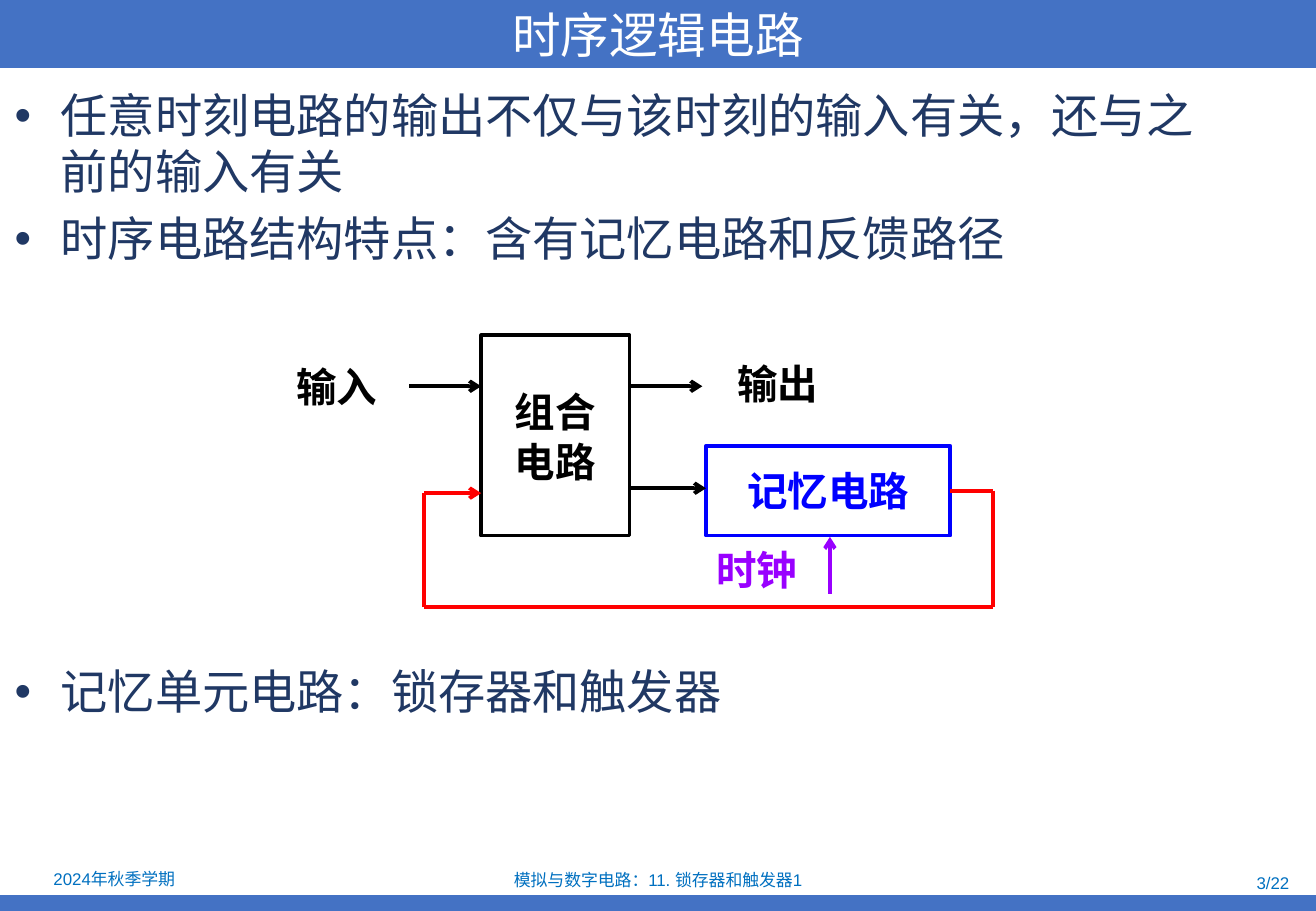
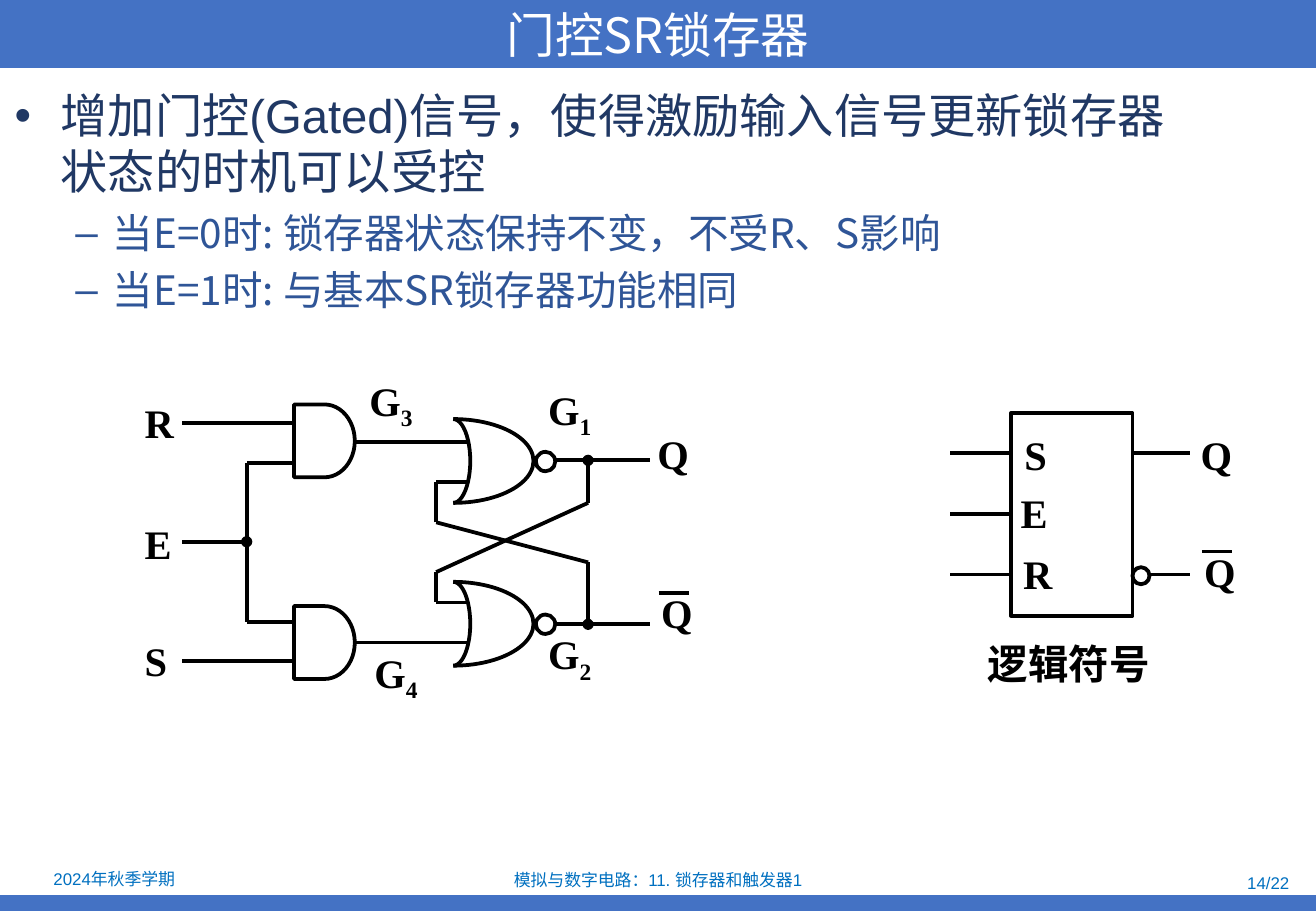
from itertools import pairwise

from lxml import etree
from pptx import Presentation
from pptx import util as u
from pptx.dml.color import RGBColor
from pptx.enum import shapes, text
from pptx.oxml.ns import qn

CELL = u.Inches(0.1)  # every position counts square grid cells
COLUMNS, ROWS = 108.3, 75
BLUE, FOOTER_BLUE = "4472C4", "0070C0"
NAVY, MID_BLUE = "203864", "2F5597"
BLACK, WHITE, RED, MEMORY_BLUE, PURPLE = "000000", "FFFFFF", "FF0000", "0000FF", "9900FF"
SANS, CJK, SERIF = "Arial", "Noto Sans CJK SC", "Times New Roman"
LEFT, CENTER, RIGHT = text.PP_ALIGN.LEFT, text.PP_ALIGN.CENTER, text.PP_ALIGN.RIGHT
KIND = shapes.MSO_SHAPE
hue = RGBColor.from_string


def put(page, kind, place, words="", size=24, color=BLACK, font=SERIF, bold=True,
        align=CENTER, fill=None, line=None):
    """Place a preset shape, or a text box when kind is None, on the cell grid."""
    place = [int(value * CELL) for value in place]
    if kind is None:
        box = page.shapes.add_textbox(*place)
    else:
        box = page.shapes.add_shape(kind, *place)
        box.shadow.inherit = False
        if fill:
            box.fill.solid()
            box.fill.fore_color.rgb = hue(fill)
        else:
            box.fill.background()
        if line:
            box.line.color.rgb = hue(line)
            box.line.width = u.Pt(2.25)
        else:
            box.line.fill.background()
    frame = box.text_frame
    frame.margin_left = frame.margin_right = frame.margin_top = frame.margin_bottom = 0
    frame.word_wrap = True
    frame.vertical_anchor = text.MSO_ANCHOR.MIDDLE
    if words:
        frame.text = words
    for para in frame.paragraphs:
        para.alignment = align
        for span in para.runs:
            span.font.size, span.font.name, span.font.bold = u.Pt(size), font, bold
            span.font.color.rgb = hue(color)
    return box


def wire(page, points, color=BLACK, head=None, tail=None):
    """Join the points with straight connectors; head and tail mark the two ends."""
    legs = list(pairwise(points))
    for number, (start, end) in enumerate(legs):
        leg = page.shapes.add_connector(
            shapes.MSO_CONNECTOR.STRAIGHT, *[int(value * CELL) for value in start + end])
        leg.line.color.rgb = hue(color)
        leg.line.width = u.Pt(2.25)
        outline = leg.line._get_or_add_ln()
        if head and number == 0:
            etree.SubElement(outline, qn("a:headEnd"), type=head)
        if tail and number == len(legs) - 1:
            etree.SubElement(outline, qn("a:tailEnd"), type=tail)
        etree.SubElement(leg._element.spPr, qn("a:effectLst"))


deck = Presentation()
deck.slide_width, deck.slide_height = int(COLUMNS * CELL), ROWS * CELL

# Bullet levels: mark, left margin, hanging indent, size, line height, space before, font, colour
levels = [
    ("•", 3.8, 3.8, 28, 33.2, 6.5, SANS, NAVY),
    ("–", 8.1, 3.1, 24, 28.2, 5.6, CJK, MID_BLUE),
]
# Each slide: title, number, then body blocks of top, width, height and (level, words)
contents = [
    ("时序逻辑电路", "3/22", [
        (7.2, 99.6, 16, [
            (0, "任意时刻电路的输出不仅与该时刻的输入有关，还与之前的输入有关"),
            (0, "时序电路结构特点：含有记忆电路和反馈路径")]),
        (54.6, 99.6, 6, [(0, "记忆单元电路：锁存器和触发器")])]),
    ("门控SR锁存器", "14/22", [
        (7.2, 98.4, 20, [
            (0, "增加门控(Gated)信号，使得激励输入信号更新锁存器状态的时机可以受控"),
            (1, "当E=0时: 锁存器状态保持不变，不受R、S影响"),
            (1, "当E=1时: 与基本SR锁存器功能相同")])]),
]
pages = []
for title, page_number, blocks in contents:
    page = deck.slides.add_slide(deck.slide_layouts[6])
    pages.append(page)
    put(page, KIND.RECTANGLE, (0, 73.7, COLUMNS, 1.3), fill=BLUE)
    put(page, KIND.RECTANGLE, (0, 0, COLUMNS, 5.6), title, 28.8, WHITE, CJK, False, fill=BLUE)
    for left, top, width, align, words in [
        (0.2, 71.3, 18.4, CENTER, "2024年秋季学期"),
        (37, 71.4, 34.3, CENTER, "模拟与数字电路：11. 锁存器和触发器1"),
        (81.8, 71.6, 24.3, RIGHT, page_number),
    ]:
        put(page, None, (left, top, width, 2.1), words, 10, FOOTER_BLUE, SANS, False, align)
    for top, width, height, items in blocks:
        body = put(page, None, (1.2, top, width, height))
        frame = body.text_frame
        frame.vertical_anchor = text.MSO_ANCHOR.TOP
        frame.text = "\n".join(words for level, words in items)
        for number, (para, (level, words)) in enumerate(zip(frame.paragraphs, items)):
            mark, margin, hang, size, height_pt, before, font, color = levels[level]
            para.level = level
            para.line_spacing = u.Pt(height_pt)
            para.space_before = u.Pt(before if number else 0)
            props = para._p.get_or_add_pPr()
            props.set("marL", str(int(margin * CELL)))
            props.set("indent", str(int(-hang * CELL)))
            etree.SubElement(props, qn("a:buFont"), typeface=SANS)
            etree.SubElement(props, qn("a:buChar"), char=mark)
            span = para.runs[0]
            span.font.size, span.font.name = u.Pt(size), font
            span.font.color.rgb = hue(color)

sequential, latch = pages

# Block diagram of a sequential circuit
put(sequential, KIND.RECTANGLE, (58.1, 36.7, 20.1, 7.4), "记忆电路",
    color=MEMORY_BLUE, font=SANS, line=MEMORY_BLUE)
logic = put(sequential, KIND.RECTANGLE, (39.6, 27.6, 12.2, 16.5), "组合\n电路", font=SANS, line=BLACK)
for para in logic.text_frame.paragraphs:
    para.line_spacing = u.Pt(29.6)
for points, color in [
    ([(33.7, 31.8), (39.6, 31.8)], BLACK),
    ([(51.8, 31.8), (57.8, 31.8)], BLACK),
    ([(51.8, 40.2), (58.1, 40.2)], BLACK),
    ([(78.2, 40.4), (81.7, 40.4), (81.7, 50), (34.9, 50), (34.9, 40.6), (39.6, 40.6)], RED),
    ([(68.3, 48.9), (68.3, 44.2)], PURPLE),
]:
    wire(sequential, points, color, tail="arrow")
for left, top, words, color in [
    (21.2, 29.8, "输入", BLACK), (57.5, 29.6, "输出", BLACK), (55.8, 44.9, "时钟", PURPLE),
]:
    put(sequential, None, (left, top, 13, 4), words, color=color)

# Gated latch: wiring first, gates on top
for points in [
    [(44.4, 37.9), (53.5, 37.9)],
    [(44.4, 51.4), (53.5, 51.4)],
    [(24.2, 38.1), (20.3, 38.1), (20.3, 51.2), (24.2, 51.2)],
    [(24.2, 34.8), (15, 34.8)],
    [(24.2, 54.4), (15, 54.4)],
    [(29.2, 36.4), (38.4, 36.4)],
    [(29.2, 52.9), (38.4, 52.9)],
    [(54.2, 48.8), (56.7, 48.8)],
]:
    wire(latch, points)
for points in [
    [(20.3, 44.6), (15, 44.6)],
    [(48.4, 37.9), (48.4, 41.4), (35.9, 47.1), (35.9, 49.6), (38.4, 49.6)],
    [(48.4, 51.4), (48.4, 46.3), (35.9, 43), (35.9, 39.7), (38.4, 39.7)],
]:
    wire(latch, points, head="oval")
for top in (33.3, 49.9):
    put(latch, KIND.FLOWCHART_DELAY, (24.2, top, 5, 6), fill=WHITE, line=BLACK)
for middle in (37.95, 51.35):
    put(latch, KIND.OVAL, (44.1, middle - 0.75, 1.6, 1.6), fill=WHITE, line=BLACK)
    for radius in (6.6, 1.4):
        curve = put(latch, KIND.ARC, (37.3 - radius, middle - 3.45, 2 * radius, 6.9), line=BLACK)
        curve.adjustments[0], curve.adjustments[1] = 162, 54  # from top to bottom, clockwise

# Logic symbol
put(latch, KIND.RECTANGLE, (83.2, 34, 10, 16.7), line=BLACK)
for row in (37.3, 42.3, 47.3):
    wire(latch, [(83.2, row), (78.2, row)])
for points in [
    [(93.2, 37.3), (97.9, 37.3)],
    [(94, 47.3), (97.9, 47.3)],
    [(98.9, 45.4), (101.4, 45.4)],
]:
    wire(latch, points)
put(latch, KIND.OVAL, (93.2, 46.7, 1.4, 1.4), fill=WHITE, line=BLACK)
put(latch, None, (81.3, 52.1, 18.4, 5), "逻辑符号", font=SANS, align=LEFT)

for left, top, words in [
    (11.9, 32.3, "R"), (11.9, 42.2, "E"), (11.9, 51.9, "S"),
    (54.1, 34.8, "Q"), (54.4, 47.9, "Q"),
    (84.3, 34.9, "S"), (84, 39.7, "E"), (84.2, 44.7, "R"),
    (98.8, 34.9, "Q"), (99.1, 44.5, "Q"),
    (45.1, 31.5, "G1"), (45.1, 51.6, "G2"), (30.4, 30.7, "G3"), (30.8, 53.1, "G4"),
]:
    label = put(latch, None, (left, top, 4.5, 5), words[0], align=LEFT)
    if words[1:]:
        index = label.text_frame.paragraphs[0].add_run()
        index.text = words[1:]
        index.font.size, index.font.name, index.font.bold = u.Pt(24), SERIF, True
        index.font.color.rgb = hue(BLACK)
        index._r.get_or_add_rPr().set("baseline", "-25000")

deck.save("out.pptx")
